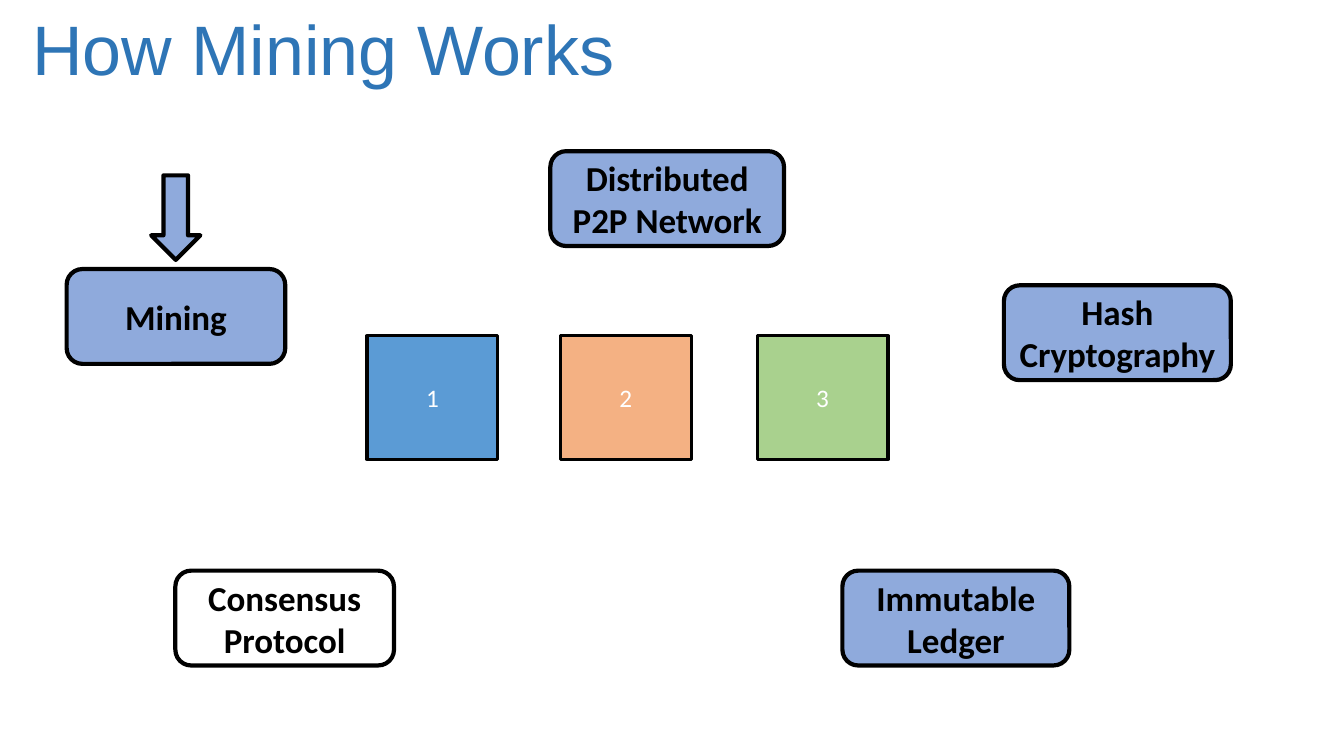
from pptx import Presentation
from pptx import util as u
from pptx.dml.color import RGBColor
from pptx.enum import shapes, text

BLACK, WHITE, PERIWINKLE = "000000", "FFFFFF", "8FAADC"


def color(value):
    return RGBColor.from_string(value)


def add_box(kind, left, top, width, height, fill, line_width, label="", size=18, font_color=WHITE, bold=False):
    shape = slide.shapes.add_shape(kind, u.Cm(left), u.Cm(top), u.Cm(width), u.Cm(height))
    shape.shadow.inherit = False
    shape.fill.solid()
    shape.fill.fore_color.rgb = color(fill)
    shape.line.color.rgb = color(BLACK)
    shape.line.width = u.Pt(line_width)
    if label:
        shape.text_frame.text = label
        shape.text_frame.word_wrap = True
        shape.text_frame.vertical_anchor = text.MSO_ANCHOR.MIDDLE
        paragraph = shape.text_frame.paragraphs[0]
        paragraph.alignment = text.PP_ALIGN.CENTER
        font = paragraph.runs[0].font
        font.name = "Calibri"
        font.size = u.Pt(size)
        font.bold = bold
        font.color.rgb = color(font_color)


presentation = Presentation()
presentation.slide_width = u.Cm(33.87)
presentation.slide_height = u.Cm(19.05)
slide = presentation.slides.add_slide(presentation.slide_layouts[5])

title = slide.shapes.title
title.left, title.top, title.width, title.height = u.Cm(0.56), u.Cm(0), u.Cm(28.85), u.Cm(2.39)
title.text_frame.text = "How Mining Works"
title.text_frame.auto_size = text.MSO_AUTO_SIZE.NONE
title.text_frame.vertical_anchor = text.MSO_ANCHOR.TOP
title_paragraph = title.text_frame.paragraphs[0]
title_paragraph.alignment = text.PP_ALIGN.LEFT
title_font = title_paragraph.runs[0].font
title_font.name = "Arial"
title_font.size = u.Pt(50)
title_font.color.rgb = color("2E75B6")

blocks = [(9.25, "5B9BD5"), (14.12, "F4B183"), (19.08, "A9D18E")]
for number, (left, fill) in enumerate(blocks, start=1):
    add_box(shapes.MSO_SHAPE.RECTANGLE, left, 8.46, 3.3, 3.12, fill, 2.25, str(number))

concepts = [
    ("Immutable Ledger", 21.23, 14.38, 5.72, PERIWINKLE),
    ("Distributed P2P Network", 13.87, 3.81, 5.89, PERIWINKLE),
    ("Consensus Protocol", 4.42, 14.38, 5.51, WHITE),
    ("Mining", 1.68, 6.78, 5.51, PERIWINKLE),
    ("Hash Cryptography", 25.3, 7.19, 5.72, PERIWINKLE),
]
for label, left, top, width, fill in concepts:
    add_box(shapes.MSO_SHAPE.ROUNDED_RECTANGLE, left, top, width, 2.39, fill, 3, label, 25, BLACK, True)

add_box(shapes.MSO_SHAPE.DOWN_ARROW, 3.81, 4.42, 1.24, 2.13, PERIWINKLE, 3)

presentation.save("out.pptx")
